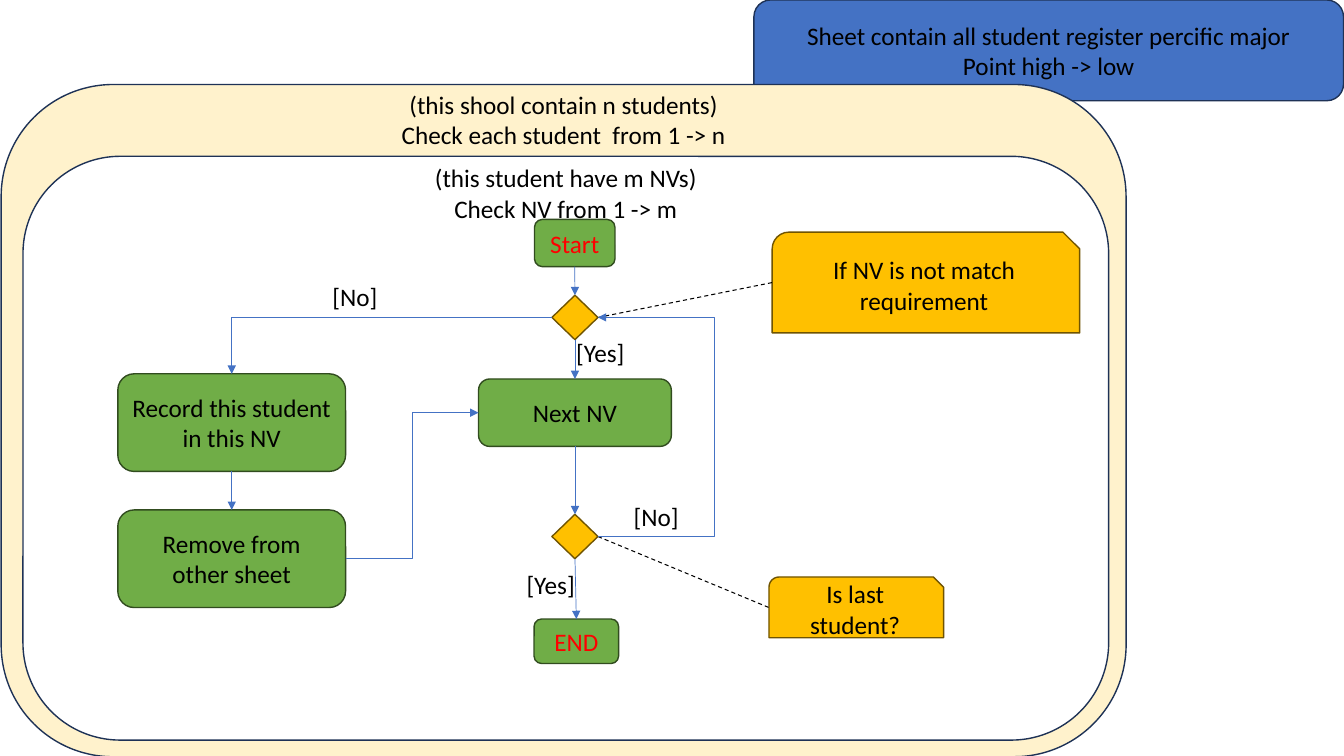
from lxml.etree import SubElement
from pptx import Presentation
from pptx.dml.color import RGBColor
from pptx.enum.dml import MSO_LINE
from pptx.enum.shapes import MSO_CONNECTOR, MSO_SHAPE
from pptx.enum.text import MSO_ANCHOR, MSO_AUTO_SIZE, PP_ALIGN
from pptx.oxml.ns import qn
from pptx.util import Cm, Pt

COLORS = {
    "blue": "4472C4", "navy": "1E3256", "cream": "FFF2CC", "white": "FFFFFF",
    "gold": "FFC000", "brown": "705400", "green": "70AD47", "forest": "314C1F",
    "black": "000000", "red": "FF0000",
}
OUTLINES = {"blue": "navy", "cream": "navy", "white": "navy",
            "gold": "brown", "green": "forest"}
TOP, LEFT, BOTTOM, RIGHT = range(4)

SHAPE_TEXT = {"word_wrap": True, "vertical_anchor": MSO_ANCHOR.MIDDLE}
LABEL_TEXT = {"word_wrap": False, "auto_size": MSO_AUTO_SIZE.SHAPE_TO_FIT_TEXT}
CAPTION_TEXT = {"word_wrap": True, "margin_top": 0, "margin_bottom": 0}


def rgb(color):
    return RGBColor.from_string(COLORS[color])


def write_text(shape, text, frame_format, color="black", align=PP_ALIGN.CENTER):
    """Fill a shape with one paragraph per line of text."""
    frame = shape.text_frame
    for name, value in frame_format.items():
        setattr(frame, name, value)
    for index, line in enumerate(text.split("\n")):
        para = frame.paragraphs[0] if index == 0 else frame.add_paragraph()
        para.alignment = align
        span = para.add_run()
        span.text = line
        for name, value in {"name": "Calibri", "size": Pt(18)}.items():
            setattr(span.font, name, value)
        span.font.color.rgb = rgb(color)


def add_box(page, kind, place, fill, text="", color="black"):
    box = page.shapes.add_shape(kind, *map(Cm, place))
    box.shadow.inherit = False
    box.fill.solid()
    box.fill.fore_color.rgb = rgb(fill)
    box.line.color.rgb = rgb(OUTLINES[fill])
    box.line.width = Pt(1)
    if text:
        write_text(box, text, SHAPE_TEXT, color)
    return box


def add_loop_frame(page, place, fill, caption, caption_top):
    """Draw a large rounded frame with its caption along the upper edge."""
    add_box(page, MSO_SHAPE.ROUNDED_RECTANGLE, place, fill)
    left, _, width, _ = place
    box = page.shapes.add_textbox(*map(Cm, (left, caption_top, width, 1.55)))
    write_text(box, caption, CAPTION_TEXT)


def add_label(page, place, text):
    box = page.shapes.add_textbox(*map(Cm, place))
    write_text(box, text, LABEL_TEXT, align=PP_ALIGN.LEFT)


def add_line(page, kind, begin, end, color="blue", width=0.5):
    line = page.shapes.add_connector(kind, *map(Cm, begin + end))
    line.line.color.rgb = rgb(color)
    line.line.width = Pt(width)
    SubElement(line.element.spPr, qn("a:effectLst"))
    return line


def add_arrowhead(line):
    SubElement(line.line._get_or_add_ln(), qn("a:tailEnd"), type="triangle")


def join_down(page, upper, lower):
    """Point an arrow from the bottom of one shape to the top of the next."""
    arrow = add_line(page, MSO_CONNECTOR.STRAIGHT, (0, 0), (0, 0))
    arrow.begin_connect(upper, BOTTOM)
    arrow.end_connect(lower, TOP)
    add_arrowhead(arrow)


def join_note(page, decision, note_side):
    dash = add_line(page, MSO_CONNECTOR.STRAIGHT, (0, 0), note_side, "black", 0.75)
    dash.begin_connect(decision, RIGHT)
    dash.line.dash_style = MSO_LINE.DASH


def add_elbow(page, begin, end, bend=None):
    """Draw a bent arrow; bend is the turning point as a share of its width."""
    elbow = add_line(page, MSO_CONNECTOR.ELBOW, begin, end)
    add_arrowhead(elbow)
    if bend is not None:
        guides = elbow.element.spPr.find(qn("a:prstGeom")).get_or_add_avLst()
        SubElement(guides, qn("a:gd"), name="adj1", fmla=f"val {round(bend * 100000)}")
    return elbow


def add_corner(page, begin, end):
    """Draw an arrow that runs left and then turns down once."""
    corner = add_elbow(page, begin, end)
    corner.element.spPr.find(qn("a:prstGeom")).set("prst", "bentConnector2")
    frame = corner.element.spPr.find(qn("a:xfrm"))
    for name, value in {"rot": "10800000", "flipH": "0", "flipV": "1"}.items():
        frame.set(name, value)


def main():
    deck = Presentation()
    deck.slide_width, deck.slide_height = Cm(33.87), Cm(19.05)
    page = deck.slides.add_slide(deck.slide_layouts[6])
    rounded, diamond = MSO_SHAPE.ROUNDED_RECTANGLE, MSO_SHAPE.FLOWCHART_DECISION
    snipped = MSO_SHAPE.SNIP_ROUND_RECTANGLE

    add_box(page, rounded, (19, 0, 14.86, 2.54), "blue",
            "Sheet contain all student register percific major\nPoint high -> low")
    add_loop_frame(page, (0.03, 2.13, 28.35, 16.94), "cream",
                   "(this shool contain n students)\nCheck each student  from 1 -> n", 2.24)
    add_loop_frame(page, (0.58, 3.94, 27.36, 14.71), "white",
                   "(this student have m NVs)\nCheck NV from 1 -> m", 4.1)

    start = add_box(page, rounded, (13.47, 5.53, 2.03, 1.19), "green", "Start", "red")
    match = add_box(page, diamond, (13.91, 7.44, 1.16, 1.12), "gold")
    following = add_box(page, rounded, (12.06, 9.55, 4.86, 1.7), "green", "Next NV")
    last = add_box(page, diamond, (13.91, 12.96, 1.16, 1.12), "gold")
    finish = add_box(page, rounded, (13.46, 15.6, 2.13, 1.12), "green", "END", "red")
    record = add_box(page, rounded, (2.97, 9.42, 5.74, 2.46), "green",
                     "Record this student in this NV")
    remove = add_box(page, rounded, (2.97, 12.85, 5.74, 2.46), "green",
                     "Remove from other sheet")
    add_box(page, snipped, (19.46, 5.85, 7.75, 2.54), "gold",
            "If NV is not match requirement")
    add_box(page, snipped, (19.38, 14.54, 4.4, 1.53), "gold", "Is last student?")

    column = (start, match, following, last, finish)
    for upper, lower in [*zip(column, column[1:]), (record, remove)]:
        join_down(page, upper, lower)
    join_note(page, match, (19.46, 7.12))
    join_note(page, last, (19.38, 15.31))
    add_corner(page, (13.91, 8), (5.84, 9.42))
    add_elbow(page, (8.71, 14.08), (12.06, 10.4), 0.5)
    add_elbow(page, (15.08, 13.52), (15.07, 8), -292)

    for place, text in (
        ((14.27, 8.38, 1.75, 1.03), "[Yes]"),
        ((8.13, 6.96, 1.65, 1.03), "[No]"),
        ((13.02, 14.22, 1.75, 1.03), "[Yes]"),
        ((15.72, 12.51, 1.65, 1.03), "[No]"),
    ):
        add_label(page, place, text)
    deck.save("out.pptx")


if __name__ == "__main__":
    main()
